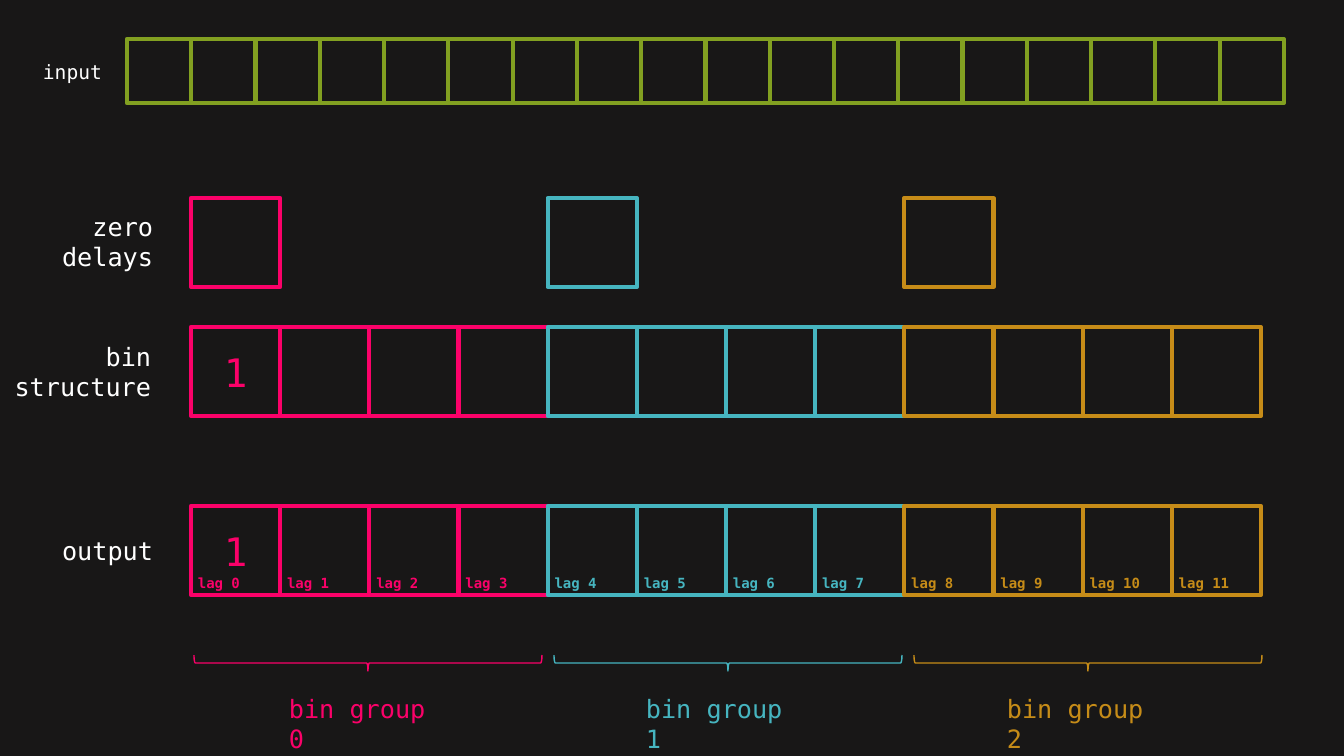
import pptx
import pptx.dml.color
import pptx.enum.shapes
import pptx.enum.text
import pptx.util

PX = 914400 / 100.8
FONT = "DejaVu Sans Mono"
BACKGROUND, WHITE, GREEN = "181717", "FFFFFF", "82A021"
GROUP_COLORS = ["FB0169", "46B5C0", "C68C18"]
BINS_PER_GROUP = 4
BIN_COUNT = BINS_PER_GROUP * len(GROUP_COLORS)
BINS_LEFT, BINS_WIDTH, BIN_HEIGHT = 191, 1070, 89
BIN_WIDTH = BINS_WIDTH / BIN_COUNT
SHAPES = pptx.enum.shapes.MSO_SHAPE
ALIGN = pptx.enum.text.PP_ALIGN


def emu(length):
    return pptx.util.Emu(round(length * PX))


def rgb(color):
    return pptx.dml.color.RGBColor.from_string(color)


def write_text(shape, text, size, color, align=ALIGN.LEFT, bold=False):
    shape.text_frame.word_wrap = True
    paragraph = shape.text_frame.paragraphs[0]
    paragraph.alignment = align
    run = paragraph.add_run()
    run.text = text
    run.font.name = FONT
    run.font.size = pptx.util.Pt(size)
    run.font.bold = bold
    run.font.color.rgb = rgb(color)


def add_label(slide, box, text, size, color, **text_format):
    label = slide.shapes.add_textbox(*map(emu, box))
    write_text(label, text, size, color, **text_format)
    label.text_frame.auto_size = pptx.enum.text.MSO_AUTO_SIZE.SHAPE_TO_FIT_TEXT


def add_outline(slide, kind, box, color, line_width):
    shape = slide.shapes.add_shape(kind, *map(emu, box))
    shape.shadow.inherit = False
    shape.fill.background()
    shape.line.color.rgb = rgb(color)
    shape.line.width = pptx.util.Pt(line_width)
    return shape


def add_cells(slide, box, colors, step=1):
    """Divide the box into one cell per colour and draw every step-th cell."""
    left, top, width, height = box
    cell_width = width / len(colors)
    return [
        add_outline(slide, SHAPES.RECTANGLE,
                    (left + index * cell_width, top, cell_width, height),
                    colors[index], 3)
        for index in range(0, len(colors), step)
    ]


def add_bin_row(slide, top, first_value=None, step=1):
    colors = [GROUP_COLORS[index // BINS_PER_GROUP] for index in range(BIN_COUNT)]
    cells = add_cells(slide, (BINS_LEFT, top, BINS_WIDTH, BIN_HEIGHT), colors, step)
    if first_value:
        write_text(cells[0], first_value, 28, colors[0], align=ALIGN.CENTER)


def add_lag_labels(slide, top):
    for index in range(BIN_COUNT):
        width = 64 if index < 10 else 72
        add_label(slide, (BINS_LEFT - 3 + index * BIN_WIDTH, top, width, 27),
                  f"lag {index}", 10, GROUP_COLORS[index // BINS_PER_GROUP], bold=True)


def add_group_braces(slide, center_y):
    thickness, span, pitch = 16, 348, 360
    for index, color in enumerate(GROUP_COLORS):
        center_x = 368 + index * pitch
        brace = add_outline(slide, SHAPES.LEFT_BRACE,
                            (center_x - thickness / 2, center_y - span / 2, thickness, span),
                            color, 1)
        brace.rotation = 270


def add_group_labels(slide, top):
    for index, left in enumerate([279, 636, 997]):
        add_label(slide, (left, top, 180, 40), f"bin group {index}", 18, GROUP_COLORS[index])


def add_row_labels(slide):
    for text, box, size in [
        ("input", (14, 55, 98, 34), 14),
        ("zero delays", (3, 206, 160, 71), 18),
        ("bin structure", (1, 336, 160, 71), 18),
        ("output", (3, 530, 160, 40), 18),
    ]:
        add_label(slide, box, text, size, WHITE, align=ALIGN.RIGHT)


def build_binning_slide(presentation):
    slide = presentation.slides.add_slide(presentation.slide_layouts[6])
    slide.background.fill.solid()
    slide.background.fill.fore_color.rgb = rgb(BACKGROUND)

    # Rows of cells, from input to output
    add_cells(slide, (127, 39, 1157, 64), [GREEN] * 18)
    add_bin_row(slide, 198, step=BINS_PER_GROUP)
    add_bin_row(slide, 327, first_value="1")
    add_bin_row(slide, 506, first_value="1")

    # Group braces and labels
    add_group_braces(slide, 663)
    add_group_labels(slide, 688)

    # Row and lag labels
    add_row_labels(slide)
    add_lag_labels(slide, 570)


def main():
    presentation = pptx.Presentation()
    presentation.slide_width = emu(1344)
    presentation.slide_height = emu(756)
    build_binning_slide(presentation)
    presentation.save("out.pptx")


if __name__ == "__main__":
    main()
